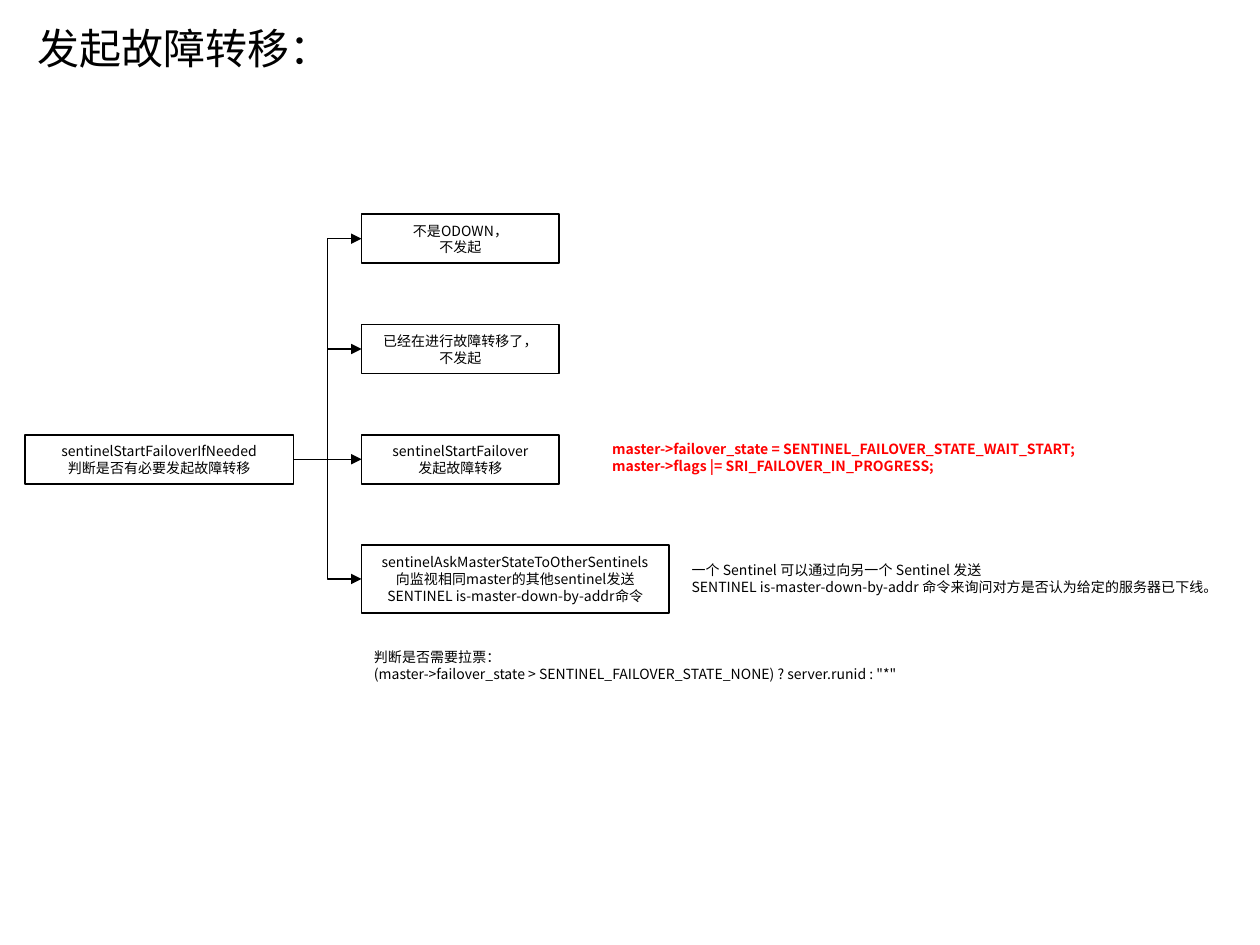
import pptx
import pptx.dml.color
import pptx.enum.shapes
import pptx.enum.text
import pptx.oxml
import pptx.oxml.ns
import pptx.util

Inches = pptx.util.Inches
Pt = pptx.util.Pt
Align = pptx.enum.text.PP_ALIGN
Anchor = pptx.enum.text.MSO_ANCHOR

THEME = {
    "font": "Noto Sans CJK SC",
    "ink": pptx.dml.color.RGBColor(0, 0, 0),
    "paper": pptx.dml.color.RGBColor(255, 255, 255),
    "alert": pptx.dml.color.RGBColor(255, 0, 0),
    "title_size": Pt(24),
    "body_size": Pt(8),
    "box_line": Pt(1),
    "arrow_line": Pt(0.75),
}

TITLE = "发起故障转移："
CHECK = ["sentinelStartFailoverIfNeeded", "判断是否有必要发起故障转移"]
OUTCOMES = [
    (1.57, 0.39, ["不是ODOWN，", "不发起"]),
    (1.57, 0.39, ["已经在进行故障转移了，", "不发起"]),
    (1.57, 0.39, ["sentinelStartFailover", "发起故障转移"]),
    (2.44, 0.54, [
        "sentinelAskMasterStateToOtherSentinels",
        "向监视相同master的其他sentinel发送",
        "SENTINEL is-master-down-by-addr命令",
    ]),
]
NOTES = [
    (4.76, 3.45, "alert", [
        "master->failover_state = SENTINEL_FAILOVER_STATE_WAIT_START;",
        "master->flags |= SRI_FAILOVER_IN_PROGRESS;",
    ]),
    (5.39, 4.41, "ink", [
        "一个 Sentinel 可以通过向另一个 Sentinel 发送",
        "SENTINEL is-master-down-by-addr 命令来询问对方是否认为给定的服务器已下线。",
    ]),
    (2.87, 5.1, "ink", [
        "判断是否需要拉票：",
        '(master->failover_state > SENTINEL_FAILOVER_STATE_NONE) ? server.runid : "*"',
    ]),
]
OUTCOME_LEFT, OUTCOME_TOP, OUTCOME_PITCH = 2.87, 1.7, 0.875
CHECK_ROW = 2


def write(frame, lines, size, color="ink", align=Align.LEFT, anchor=Anchor.TOP):
    frame.word_wrap = True
    frame.auto_size = pptx.enum.text.MSO_AUTO_SIZE.NONE
    frame.vertical_anchor = anchor
    frame.text = "\n".join(lines)
    for paragraph in frame.paragraphs:
        paragraph.alignment = align
        font = paragraph.font
        font.name = THEME["font"]
        font.size = THEME[size]
        font.bold = color == "alert"
        font.color.rgb = THEME[color]
        latin = paragraph._p.pPr.find(
            pptx.oxml.ns.qn("a:defRPr")).find(pptx.oxml.ns.qn("a:latin"))
        latin.addnext(pptx.oxml.parse_xml(
            f'<a:ea {pptx.oxml.ns.nsdecls("a")} typeface="{THEME["font"]}"/>'))


def add_box(slide, left, top, width, height, lines):
    box = slide.shapes.add_shape(
        pptx.enum.shapes.MSO_SHAPE.RECTANGLE,
        Inches(left), Inches(top), Inches(width), Inches(height))
    box.shadow.inherit = False
    box.fill.solid()
    box.fill.fore_color.rgb = THEME["paper"]
    box.line.color.rgb = THEME["ink"]
    box.line.width = THEME["box_line"]
    write(box.text_frame, lines, "body_size", align=Align.CENTER, anchor=Anchor.MIDDLE)
    return box


def add_arrow(slide, source, target):
    arrow = slide.shapes.add_connector(
        pptx.enum.shapes.MSO_CONNECTOR.ELBOW, 0, 0, 0, 0)
    arrow.begin_connect(source, 3)
    arrow.end_connect(target, 1)
    arrow.line.color.rgb = THEME["ink"]
    arrow.line.width = THEME["arrow_line"]
    ns = pptx.oxml.ns.nsdecls("a")
    arrow.line._get_or_add_ln().append(
        pptx.oxml.parse_xml(f'<a:tailEnd {ns} type="triangle"/>'))
    arrow._element.spPr.append(pptx.oxml.parse_xml(f"<a:effectLst {ns}/>"))


def main():
    deck = pptx.Presentation()
    deck.slide_width, deck.slide_height = Inches(10), Inches(7.5)
    slide = deck.slides.add_slide(deck.slide_layouts[5])

    title = slide.shapes.title
    title.left, title.top = Inches(0.2), Inches(0.13)
    title.width, title.height = Inches(8.03), Inches(0.5)
    write(title.text_frame, [TITLE], "title_size")

    check = add_box(slide, 0.2, OUTCOME_TOP + CHECK_ROW * OUTCOME_PITCH, 2.13, 0.39, CHECK)
    for row, (width, height, lines) in enumerate(OUTCOMES):
        outcome = add_box(
            slide, OUTCOME_LEFT, OUTCOME_TOP + row * OUTCOME_PITCH, width, height, lines)
        add_arrow(slide, check, outcome)

    for left, top, color, lines in NOTES:
        note = slide.shapes.add_textbox(
            Inches(left), Inches(top), Inches(5.04), Inches(0.37))
        write(note.text_frame, lines, "body_size", color)

    deck.save("out.pptx")


if __name__ == "__main__":
    main()
